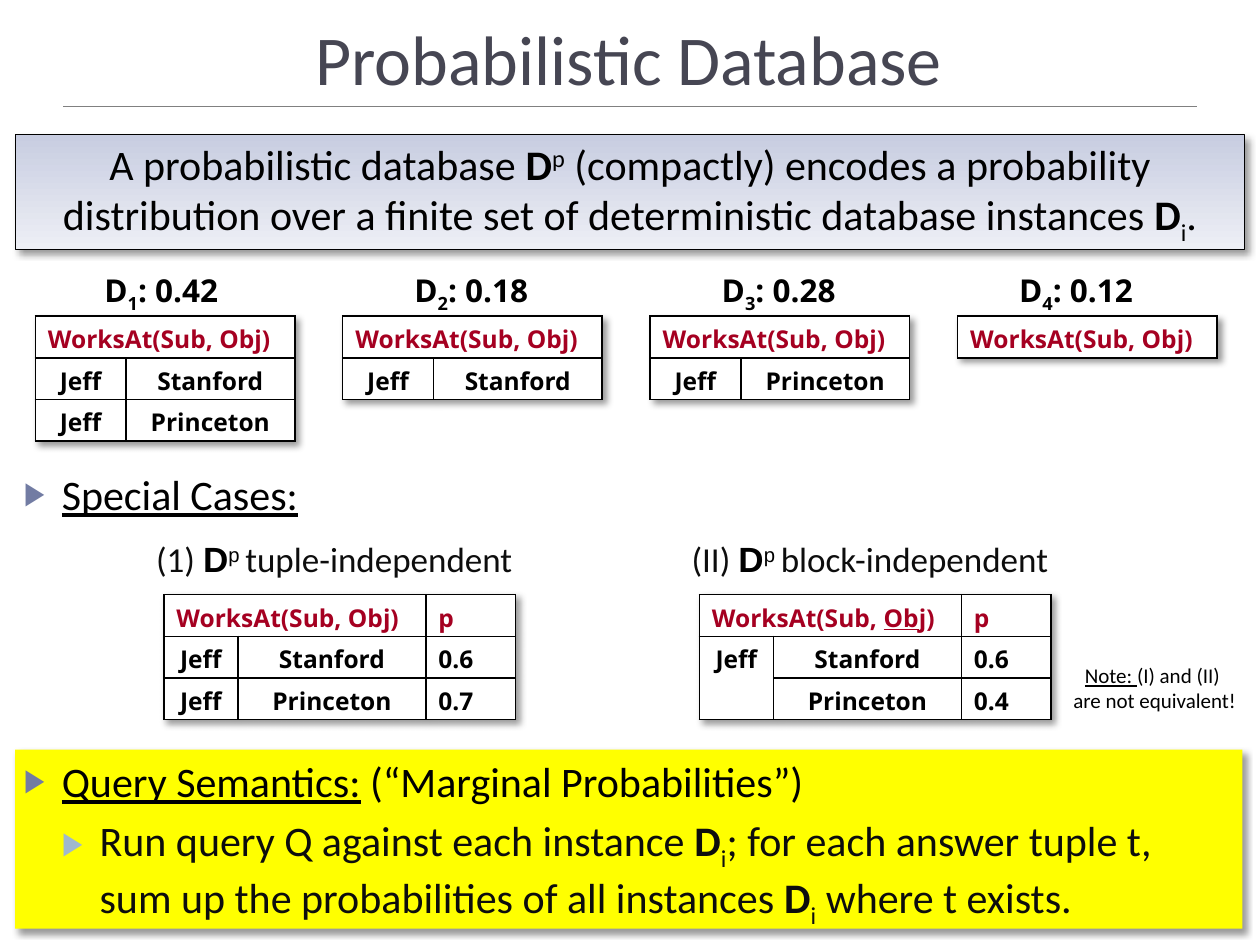
from lxml.etree import SubElement
from pptx import Presentation
from pptx.dml.color import RGBColor
from pptx.enum.shapes import MSO_CONNECTOR, MSO_SHAPE
from pptx.enum.text import MSO_ANCHOR, MSO_AUTO_SIZE, PP_ALIGN
from pptx.oxml import parse_xml
from pptx.oxml.ns import nsdecls, qn
from pptx.util import Inches, Pt

COLORS = {
    "black": "000000", "ink": "0D0D0D", "title": "464653", "rule": "808080",
    "header": "A50021", "white": "FFFFFF", "highlight": "FFFF00",
    "band_top": "C8CDE1", "band_bottom": "EDEFF5",
    "bullet": "727CA3", "sub_bullet": "9FB8CD",
}
BOLD = {"bold": True}
SUB = {"baseline": -25}
SUPER = {"baseline": 30}
UNDERLINE = {"underline": True}
ROW_HEIGHT = 0.33


def rgb(name):
    return RGBColor.from_string(COLORS[name])


def add_runs(paragraph, runs, size, font="Calibri", color="black", bold=False):
    for text, style in runs:
        run = paragraph.add_run()
        run.text = text
        run.font.size = Pt(size)
        run.font.name = style.get("font", font)
        run.font.bold = style.get("bold", bold)
        run.font.underline = style.get("underline", False)
        run.font.color.rgb = rgb(style.get("color", color))
        if "baseline" in style:
            run._r.get_or_add_rPr().set("baseline", str(style["baseline"] * 1000))


def add_shadow(properties):
    for effects in properties.findall(qn("a:effectLst")):
        properties.remove(effects)
    effects = parse_xml(
        f'<a:effectLst {nsdecls("a")}><a:outerShdw blurRad="{Pt(4)}" dist="{Pt(3)}" '
        f'dir="2700000" algn="tl" rotWithShape="0"><a:srgbClr val="{COLORS["black"]}">'
        '<a:alpha val="40000"/></a:srgbClr></a:outerShdw></a:effectLst>')
    properties.append(effects)


def place(shape, left, top, width, height):
    shape.left, shape.top = Inches(left), Inches(top)
    shape.width, shape.height = Inches(width), Inches(height)


def add_text(slide, box, lines, size, wrap=False, align=PP_ALIGN.LEFT, **style):
    frame = slide.shapes.add_textbox(*map(Inches, box)).text_frame
    frame.word_wrap = wrap
    for index, runs in enumerate(lines):
        paragraph = frame.add_paragraph() if index else frame.paragraphs[0]
        paragraph.alignment = align
        add_runs(paragraph, runs, size, **style)


def add_title(slide, left, top, width, height):
    title = slide.shapes.title
    place(title, left, top, width, height)
    title.text_frame.vertical_anchor = MSO_ANCHOR.BOTTOM
    paragraph = title.text_frame.paragraphs[0]
    paragraph.alignment = PP_ALIGN.CENTER
    add_runs(paragraph, [("Probabilistic Database", {})], 40, color="title")
    rule_top = Inches(top + height)
    rule = slide.shapes.add_connector(
        MSO_CONNECTOR.STRAIGHT, Inches(0.5), rule_top, Inches(9.5), rule_top)
    rule.line.color.rgb = rgb("rule")
    rule.line.width = Pt(0.25)
    SubElement(rule._element.spPr, qn("a:effectLst"))


def add_panel(slide, box):
    panel = slide.shapes.add_shape(MSO_SHAPE.RECTANGLE, *map(Inches, box))
    panel.shadow.inherit = False
    return panel


def add_definition(slide, box):
    band = add_panel(slide, box)
    band.fill.gradient()
    band.fill.gradient_angle = 270
    for stop, name in zip(band.fill.gradient_stops, ("band_top", "band_bottom")):
        stop.color.rgb = rgb(name)
    band.line.color.rgb = rgb("black")
    band.line.width = Pt(0.5)
    add_shadow(band._element.spPr)
    band.text_frame.word_wrap = True
    paragraph = band.text_frame.paragraphs[0]
    paragraph.alignment = PP_ALIGN.CENTER
    add_runs(paragraph, [
        ("A probabilistic database ", {}), ("D", BOLD), ("p", SUPER),
        (" (compactly) encodes a probability distribution over a finite set of "
         "deterministic database instances ", {}),
        ("D", BOLD), ("i", SUB), (".", {})], 24)


def add_highlight(slide, box):
    panel = add_panel(slide, box)
    panel.fill.solid()
    panel.fill.fore_color.rgb = rgb("highlight")
    panel.line.fill.background()
    add_shadow(panel._element.spPr)


def add_bullet_list(slide, left, top, width, height):
    body = slide.placeholders[1]
    place(body, left, top, width, height)
    frame = body.text_frame
    frame.auto_size = MSO_AUTO_SIZE.NONE
    frame.vertical_anchor = MSO_ANCHOR.TOP
    items = [
        (0, 0, "black", [("Special Cases:", UNDERLINE)]),
        (0, 135, "black", [("Query Semantics:", UNDERLINE),
                           (" (“Marginal Probabilities”)", {})]),
        (1, 5, "ink", [
            ("Run query Q against each instance ", {}), ("D", BOLD), ("i", SUB),
            ("; for each answer tuple t, sum up the probabilities of all instances ", {}),
            ("D", BOLD), ("i", SUB), (" where t exists.", {})]),
    ]
    for index, (level, gap, color, runs) in enumerate(items):
        paragraph = frame.add_paragraph() if index else frame.paragraphs[0]
        paragraph.level = level
        paragraph.space_before = Pt(gap)
        add_runs(paragraph, runs, 24, color=color)
        properties = paragraph._p.get_or_add_pPr()
        properties.set("marL", str(Inches(0.3 * (level + 1))))
        properties.set("indent", str(Inches(-0.3)))
        bullet_color = SubElement(properties, qn("a:buClr"))
        SubElement(bullet_color, qn("a:srgbClr"),
                   val=COLORS["sub_bullet" if level else "bullet"])
        SubElement(properties, qn("a:buSzPct"), val="76000")
        SubElement(properties, qn("a:buChar"), char="▶")


def format_cell(cell):
    cell.fill.solid()
    cell.fill.fore_color.rgb = rgb("white")
    cell.margin_top, cell.margin_bottom = Inches(0.05), Inches(0.01)
    properties = cell._tc.get_or_add_tcPr()
    for index, side in enumerate(("lnL", "lnR", "lnT", "lnB")):
        properties.insert(index, parse_xml(
            f'<a:{side} {nsdecls("a")} w="{Pt(1)}"><a:solidFill>'
            f'<a:srgbClr val="{COLORS["black"]}"/></a:solidFill></a:{side}>'))


def add_relation(slide, left, top, widths, rows, header, block=False):
    count = len(rows) + 1
    table = slide.shapes.add_table(
        count, len(widths), Inches(left), Inches(top),
        Inches(sum(widths)), Inches(ROW_HEIGHT * count)).table
    table.horz_banding = False
    add_shadow(table._tbl.tblPr)
    style = table._tbl.tblPr.find(qn("a:tableStyleId"))
    if style is not None:
        table._tbl.tblPr.append(style)
    for column, width in zip(table.columns, widths):
        column.width = Inches(width)
    for row in table.rows:
        row.height = Inches(ROW_HEIGHT)
    for cell in table.iter_cells():
        format_cell(cell)
    if len(widths) > 1:
        table.cell(0, 0).merge(table.cell(0, 1))
    if block:
        table.cell(1, 0).merge(table.cell(count - 1, 0))
    headings = [header] + [[("p", {})]] * (len(widths) == 3)
    for column, runs in zip((0, 2), headings):
        add_runs(table.cell(0, column).text_frame.paragraphs[0], runs, 14,
                 "Open Sans", "header", True)
    for row_index, values in enumerate(rows, 1):
        for column, value in enumerate(values):
            if value:
                paragraph = table.cell(row_index, column).text_frame.paragraphs[0]
                paragraph.alignment = PP_ALIGN.LEFT if column == 2 else PP_ALIGN.CENTER
                add_runs(paragraph, [(value, {})], 14, "Open Sans", bold=True)


def add_instances(slide, left, top):
    stanford, princeton = ("Jeff", "Stanford"), ("Jeff", "Princeton")
    instances = [
        (0.73, "0.42", [stanford, princeton]), (3.19, "0.18", [stanford]),
        (5.63, "0.28", [princeton]), (7.99, "0.12", []),
    ]
    for index, (label_left, probability, rows) in enumerate(instances):
        label = [("D", {}), (str(index + 1), SUB), (f": {probability}", {})]
        add_text(slide, (label_left, top, 1.2, 0.4), [label], 18,
                 font="Open Sans", bold=True)
        add_relation(slide, left + 2.44 * index, top + 0.41,
                     [0.72, 1.34] if rows else [2.06], rows,
                     [("WorksAt(Sub, Obj)", {})])


def add_special_case(slide, left, top, number, kind, header, rows, block=False):
    label = [(f"({number}) ", {}),
             ("D", {"font": "Arial", "color": "black", "bold": True}),
             ("p ", {"font": "Arial", "color": "black", "baseline": 30}),
             (f"{kind}-independent", {})]
    add_text(slide, (left, top, 3.05, 0.44), [label], 20, color="ink")
    add_relation(slide, left + 0.16, top + 0.5, [0.59, 1.49, 0.71], rows, header, block)


def main():
    presentation = Presentation()
    presentation.slide_width, presentation.slide_height = Inches(10), Inches(7.5)
    slide = presentation.slides.add_slide(presentation.slide_layouts[1])
    add_highlight(slide, (0.12, 5.95, 9.74, 1.42))
    slide.shapes._spTree.append(slide.placeholders[1]._element)
    add_title(slide, 0.49, -0.01, 9, 0.85)
    add_bullet_list(slide, 0.09, 3.67, 9.76, 3.28)
    add_definition(slide, (0.12, 1.07, 9.76, 0.91))
    add_instances(slide, 0.28, 2.1)
    add_special_case(slide, 1.14, 4.22, "1", "tuple", [("WorksAt(Sub, Obj)", {})],
                     [("Jeff", "Stanford", "0.6"), ("Jeff", "Princeton", "0.7")])
    add_special_case(slide, 5.39, 4.22, "II", "block",
                     [("WorksAt(Sub, ", {}), ("Ob", UNDERLINE), ("j)", {})],
                     [("Jeff", "Stanford", "0.6"), ("", "Princeton", "0.4")], True)
    note = [[("Note: ", UNDERLINE), ("(I) and (II) ", {})], [("are not equivalent!", {})]]
    add_text(slide, (8.41, 5.21, 1.51, 0.5), note, 12, True, PP_ALIGN.CENTER)
    presentation.save("out.pptx")


if __name__ == "__main__":
    main()
